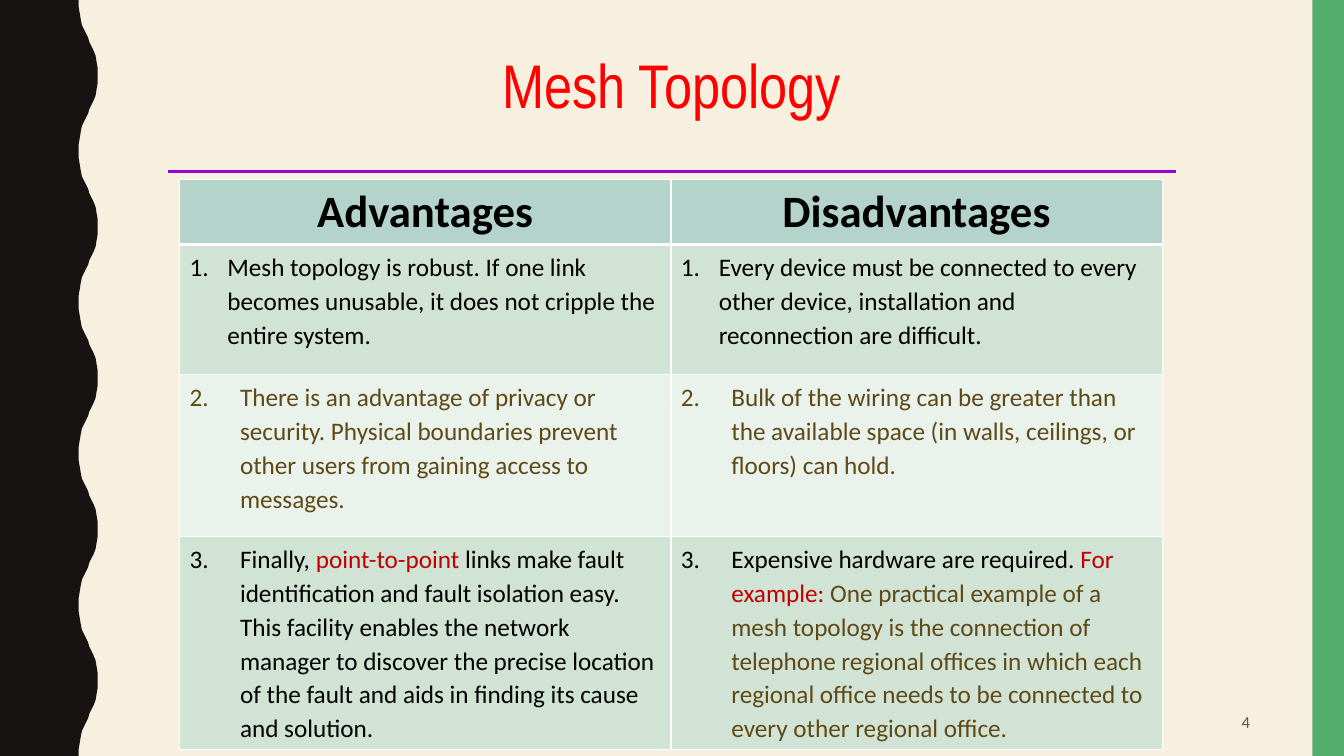
from lxml.etree import SubElement
from pptx import Presentation
from pptx.dml.color import RGBColor
from pptx.enum.shapes import MSO_CONNECTOR as Connector, MSO_SHAPE as Shape
from pptx.enum.text import MSO_ANCHOR as Anchor, PP_ALIGN as Align
from pptx.oxml import parse_xml
from pptx.oxml.ns import nsdecls, qn
from pptx.util import Pt

EMU_PER_PX = 9525
WIDTH, HEIGHT = 1280, 720

BLACK, OLIVE, RED = "000000", "5E4917", "C00000"
HEADER_FILL, ODD_FILL, EVEN_FILL = "B3D3CB", "D1E3D5", "E9F2EB"

HEADINGS = ["Advantages", "Disadvantages"]
# Each point is a list of (text, colour) spans.
POINTS = [
    [
        [("Mesh topology is robust. If one link becomes unusable, it does not "
          "cripple the entire system.", BLACK)],
        [("Every device must be connected to every other device, installation "
          "and reconnection are difficult.", BLACK)],
    ],
    [
        [("There is an advantage of privacy or security. Physical boundaries "
          "prevent other users from gaining access to messages.", OLIVE)],
        [("Bulk of the wiring can be greater than the available space (in "
          "walls, ceilings, or floors) can hold.", OLIVE)],
    ],
    [
        [("Finally, ", BLACK), ("point-to-point", RED),
         (" links make fault identification and fault isolation easy. This "
          "facility enables the network manager to discover the precise "
          "location of the fault and aids in finding its cause and solution.",
          BLACK)],
        [("Expensive hardware are required. ", BLACK), ("For example:", RED),
         (" One practical example of a mesh topology is the connection of "
          "telephone regional offices in which each regional office needs to "
          "be connected to every other regional office.", OLIVE)],
    ],
]
ROW_HEIGHTS = [62, 124, 154, 203]
COLUMN_WIDTH = 468
INDENTS = [36, 48, 48]

WAVE_LENGTH = 144
HALF_WAVE = [(75, 0), (75, 7), (76, 13), (77, 19), (78, 24), (80, 28), (82, 32),
             (84, 36), (85, 40), (87, 44), (89, 48), (91, 53), (92, 59), (93, 65),
             (93, 72)]


def px(length):
    return int(length * EMU_PER_PX)


def rgb(colour):
    return RGBColor.from_string(colour)


def wave_outline():
    """Points of the left band, whose right edge repeats a mirrored half wave."""
    mirrored = [(x, WAVE_LENGTH - y) for x, y in reversed(HALF_WAVE[:-1])]
    edge = [(x, y + top) for top in range(0, HEIGHT, WAVE_LENGTH)
            for x, y in HALF_WAVE + mirrored]
    return [(0, 0)] + edge + [(0, HEIGHT)]


class SlideBuilder:
    def __init__(self, deck, background):
        self.font = "Calibri"
        self.border = "FFFFFF"
        self.slide = deck.slides.add_slide(deck.slide_layouts[6])
        self.shapes = self.slide.shapes
        fill = self.slide.background.fill
        fill.solid()
        fill.fore_color.rgb = rgb(background)

    def paint(self, shape, colour):
        shape.shadow.inherit = False
        shape.fill.solid()
        shape.fill.fore_color.rgb = rgb(colour)
        shape.line.fill.background()

    def outline(self, points, colour):
        builder = self.shapes.build_freeform(*points[0], scale=EMU_PER_PX)
        builder.add_line_segments(points[1:], close=True)
        self.paint(builder.convert_to_shape(), colour)

    def bar(self, left, top, width, height, colour):
        self.paint(self.shapes.add_shape(
            Shape.RECTANGLE, px(left), px(top), px(width), px(height)), colour)

    def rule(self, left, right, y, colour, points):
        line = self.shapes.add_connector(
            Connector.STRAIGHT, px(left), px(y), px(right), px(y))
        line.line.color.rgb = rgb(colour)
        line.line.width = Pt(points)
        SubElement(line._element.spPr, qn("a:effectLst"))

    def style(self, span, size, colour, font=None, bold=False):
        span.font.name = font or self.font
        span.font.size = Pt(size)
        span.font.bold = bold
        span.font.color.rgb = rgb(colour)

    def text(self, left, top, width, height, words, size, colour, align, font=None):
        box = self.shapes.add_textbox(px(left), px(top), px(width), px(height))
        frame = box.text_frame
        frame.word_wrap = True
        frame.vertical_anchor = Anchor.MIDDLE
        frame.text = words
        para = frame.paragraphs[0]
        para.alignment = align
        self.style(para.runs[0], size, colour, font)

    def table(self, left, top, column_widths, row_heights):
        table = self.shapes.add_table(
            len(row_heights), len(column_widths), px(left), px(top),
            px(sum(column_widths)), px(sum(row_heights))).table
        table.first_row = table.horz_banding = False
        for column, width in zip(table.columns, column_widths):
            column.width = px(width)
        for row, height in zip(table.rows, row_heights):
            row.height = px(height)
        return table

    def cell(self, cell, colour, bottom=1):
        """Fill and border a cell; bottom is its lower border in points."""
        cell.fill.solid()
        cell.fill.fore_color.rgb = rgb(colour)
        properties = cell._tc.get_or_add_tcPr()
        for index, (side, width) in enumerate(
                [("L", 1), ("R", 1), ("T", 1), ("B", bottom)]):
            properties.insert(index, parse_xml(
                f'<a:ln{side} {nsdecls("a")} w="{Pt(width)}"><a:solidFill>'
                f'<a:srgbClr val="{self.border}"/></a:solidFill></a:ln{side}>'))

    def heading(self, cell, words):
        self.cell(cell, HEADER_FILL, bottom=3)
        cell.text = words
        para = cell.text_frame.paragraphs[0]
        para.alignment = Align.CENTER
        self.style(para.runs[0], 32, BLACK, bold=True)

    def point(self, cell, number, spans, indent, colour):
        self.cell(cell, colour)
        para = cell.text_frame.paragraphs[0]
        para.line_spacing = 1.1
        for words, span_colour in spans:
            span = para.add_run()
            span.text = words
            self.style(span, 18, span_colour)
        properties = para._p.get_or_add_pPr()
        properties.set("marL", str(px(indent)))
        properties.set("indent", str(-px(indent)))
        SubElement(properties, qn("a:buAutoNum"), type="arabicPeriod",
                   startAt=str(number))


def main():
    deck = Presentation()
    deck.slide_width, deck.slide_height = px(WIDTH), px(HEIGHT)
    page = SlideBuilder(deck, "F7F0DF")

    page.outline(wave_outline(), "171312")
    page.bar(1250, 0, 30, HEIGHT, "53AE6E")

    table = page.table(171, 171, [COLUMN_WIDTH] * len(HEADINGS), ROW_HEIGHTS)
    for column, words in enumerate(HEADINGS):
        page.heading(table.cell(0, column), words)
    for number, (pair, indent) in enumerate(zip(POINTS, INDENTS), start=1):
        fill = ODD_FILL if number % 2 else EVEN_FILL
        for column, spans in enumerate(pair):
            page.point(table.cell(number, column), number, spans, indent, fill)

    page.text(904, 669, 296, 36, "4", 12, "595959", Align.RIGHT)
    page.text(160, 42, 960, 75, "Mesh Topology", 44, "FF0000", Align.CENTER,
              "Arial Narrow")
    page.rule(160, 1120, 163, "9900CC", 2.25)
    deck.save("out.pptx")


if __name__ == "__main__":
    main()
